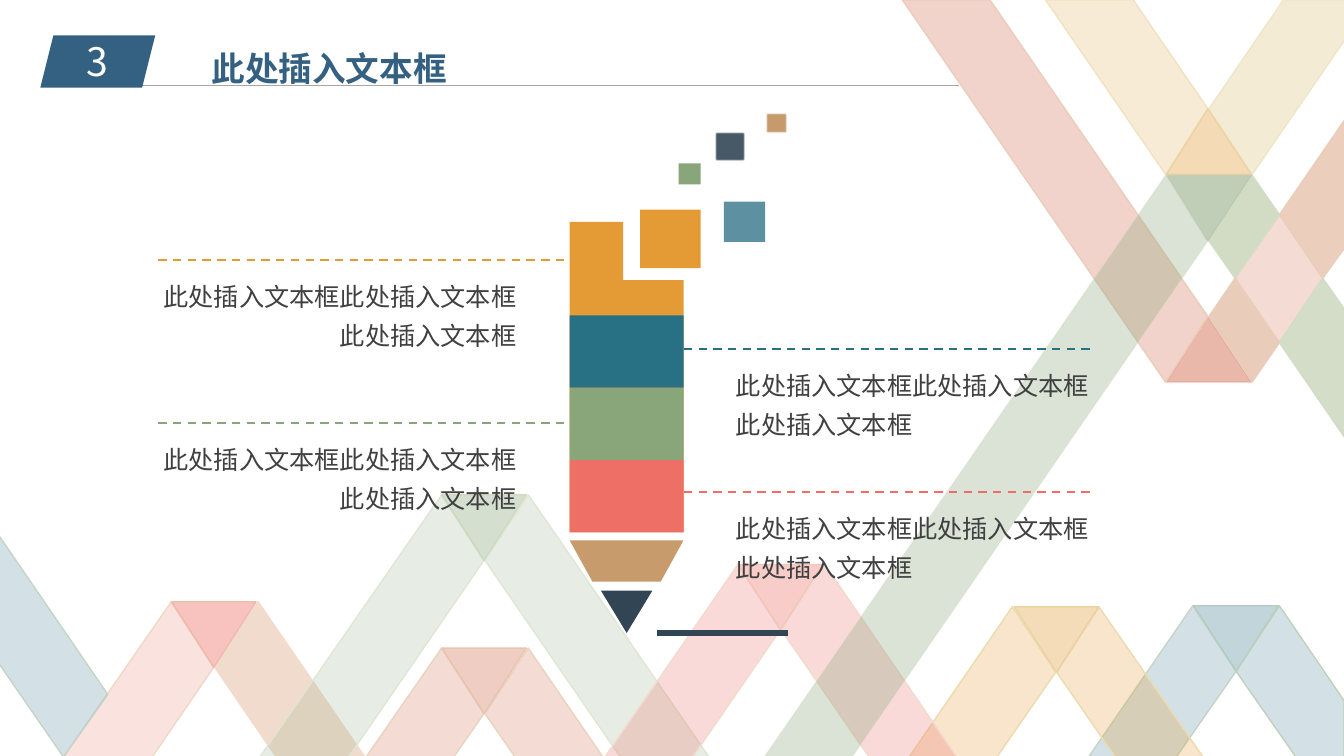
from pptx import Presentation
from pptx.dml.color import RGBColor
from pptx.enum.dml import MSO_LINE
from pptx.enum.shapes import MSO_CONNECTOR, MSO_SHAPE
from pptx.enum.text import MSO_AUTO_SIZE, PP_ALIGN
from pptx.oxml.ns import qn
from pptx.util import Emu, Pt
from lxml.etree import SubElement

CELL = 9144
COLS, ROWS = 1333, 750
FONT = "Noto Sans CJK SC"
PROMPT = "此处插入文本框"
C = {
    "white": "FFFFFF", "text": "404040", "title": "346182", "rule": "A6A6A6",
    "orange": "E49B35", "teal": "287184", "green": "89A67A", "red": "ED6F65",
    "wood": "C79B6C", "lead": "324554", "blue": "508799",
    "rose": "EE8F82", "scarlet": "ED5249", "rust": "D57053", "amber": "E7B05E",
    "moss": "88A378", "sage": "A2B894", "cream": "EFE3C2", "sand": "F1DBCC",
    "peach": "EBCEBC", "clay": "E9CCBA", "mint": "D2DBC4", "leaf": "D3DDC7",
    "rose_edge": "EED9C6", "scarlet_edge": "EFBBAB", "red_edge": "F2C7BA",
    "sage_edge": "E0E6D3", "green_edge": "CFDAC2", "rust_edge": "EAD3BF",
    "rust_fold": "E6C6B1", "blue_edge": "C4D5C6", "blue_fold": "B5CAC1",
    "blue_rim": "BFD1BD", "orange_edge": "EBDCB0", "orange_fold": "EBD3A3",
    "cream_edge": "EEE6C8", "peach_edge": "EACDBA", "brick_edge": "DF9B83",
    "moss_edge": "B3C4A5", "leaf_edge": "D3DCC5",
}
FOLD_HALF, FOLD_DEPTH, SLOPE = 42, 65, 0.69

STRIPS = [
    ("rust", 49, "brick_edge", 49, [(1198, 314), (1241, 379), (1157, 379)]),
    ("amber", 25, "cream", 100, [(1037, 0), (1124, 0), (1198, 108), (1156, 173)]),
    ("cream", 71, "cream_edge", 100,
     [(1273, 0), (1335, 0), (1335, 38), (1242, 173), (1199, 108)]),
    ("rust", 25, "rust_edge", 100, [(1269, 213), (1312, 276), (1269, 340), (1225, 276)]),
    ("peach", 100, "peach_edge", 100, [(1335, 117), (1335, 244), (1312, 276), (1269, 213)]),
    ("mint", 100, "leaf", 100, [(1242, 174), (1269, 213), (1225, 276), (1199, 239)]),
    ("clay", 100, "peach_edge", 100, [(1225, 276), (1269, 340), (1242, 379), (1199, 314)]),
    ("leaf", 100, "leaf_edge", 100, [(1312, 276), (1335, 309), (1335, 436), (1269, 340)]),
    ("orange", 36, "orange_fold", 100, [(1198, 108), (1241, 173), (1157, 173)]),
    ("moss", 53, "moss_edge", 53, [(1198, 239), (1241, 174), (1157, 174)]),
    ("blue", 25, "blue_edge", 100, [(-4, 527), (107, 689), (63, 751), (-4, 654)]),
    ("blue", 25, "blue_rim", 100,
     [(1269, 601), (1333, 695), (1333, 752), (1286, 752), (1226, 666)]),
    ("rust", 30, "peach_edge", 100, [(895, 0), (982, 0), (1198, 314), (1156, 379)]),
    ("moss", 30, "leaf_edge", 30, [(1156, 174), (1198, 239), (843, 754), (756, 754)]),
]
PEAKS = [
    (212.5, 597, 754, ("rose", 25, "rose_edge"), ("sand", 100, "sand"),
     ("scarlet", 35, "scarlet_edge")),
    (480.5, 491, 755, ("sage", 25, "sage_edge"), ("sage", 25, "sage_edge"),
     ("green", 35, "green_edge")),
    (480.5, 643, 754, ("rust", 25, "rust_edge"), ("rust", 25, "rust_edge"),
     ("rust", 35, "rust_fold")),
    (1226, 601, 752, ("blue", 25, "blue_edge"), None, ("blue", 35, "blue_fold")),
    (1047.5, 602, 755, ("orange", 25, "orange_edge"), ("orange", 25, "orange_edge"),
     ("orange", 35, "orange_fold")),
    (774.5, 560, 754, ("red", 25, "sand"), ("red", 25, "sand"), ("red", 35, "red_edge")),
]


def cells(*values):
    """Turn grid cells into lengths."""
    return [Emu(round(v * CELL)) for v in values]


def rgb(name):
    """Look up a named colour."""
    return RGBColor.from_string(C[name])


def set_alpha(parent, percent):
    """Make the solid fill directly under parent translucent."""
    if percent < 100:
        colour = parent.find(qn("a:solidFill"))[0]
        SubElement(colour, qn("a:alpha")).set("val", str(percent * 1000))


def paint(sp, fill, alpha=100, edge=None, edge_alpha=100):
    """Set fill and outline of a shape and drop its shadow."""
    sp.shadow.inherit = False
    sp.fill.solid()
    sp.fill.fore_color.rgb = rgb(fill)
    set_alpha(sp._element.spPr, alpha)
    if edge:
        sp.line.color.rgb = rgb(edge)
        sp.line.width = Pt(1)
        set_alpha(sp._element.spPr.find(qn("a:ln")), edge_alpha)
    else:
        sp.line.fill.background()


def add_polygon(s, points, *look):
    """Draw a closed outline through points given in cells."""
    builder = s.shapes.build_freeform(*points[0], scale=CELL)
    builder.add_line_segments(points[1:], close=True)
    paint(builder.convert_to_shape(), *look)


def add_preset(s, kind, box, fill, alpha=100):
    """Draw a preset shape in a box of cells."""
    sp = s.shapes.add_shape(kind, *cells(*box))
    paint(sp, fill, alpha)
    return sp


def add_rule(s, x1, x2, y, colour, width, dash=None):
    """Draw a horizontal line."""
    line = s.shapes.add_connector(MSO_CONNECTOR.STRAIGHT, *cells(x1, y, x2, y))
    line.line.color.rgb = rgb(colour)
    line.line.width = Pt(width)
    if dash:
        line.line.dash_style = dash
    SubElement(line._element.spPr, qn("a:effectLst"))


def add_text(s, box, lines, size, colour, align=PP_ALIGN.LEFT, spacing=1.0,
             bold=False, wrap=True):
    """Add a text box with one paragraph a line."""
    tf = s.shapes.add_textbox(*cells(*box)).text_frame
    tf.word_wrap = wrap
    tf.auto_size = MSO_AUTO_SIZE.SHAPE_TO_FIT_TEXT
    tf.text = "\n".join(lines)
    for p in tf.paragraphs:
        p.alignment = align
        p.line_spacing = spacing
        font = p.runs[0].font
        font.name, font.size, font.bold = FONT, Pt(size), bold
        font.color.rgb = rgb(colour)
        r_pr = p.runs[0]._r.get_or_add_rPr()
        SubElement(r_pr, qn("a:ea")).set("typeface", FONT)


def add_peak(s, x, top, bottom, left, right, fold):
    """Draw a folded ribbon peak from its centre, top and bottom."""
    tip = top + FOLD_DEPTH
    for side, look in ((-1, left), (1, right)):
        if look:
            outer, inner = FOLD_HALF + 1, 0.5
            leg = [(outer, top), (outer + SLOPE * (bottom - top), bottom),
                   (inner + SLOPE * (bottom - tip), bottom), (inner, tip)]
            add_polygon(s, [(x + side * dx, y) for dx, y in leg], *look)
    add_polygon(s, [(x - FOLD_HALF, top), (x + FOLD_HALF, top), (x, tip)], *fold)


def add_ribbons(s, x, y):
    """Draw the ribbon background from the given corner."""
    for centre, top, bottom, *looks in PEAKS:
        add_peak(s, x + centre, y + top, y + bottom, *looks)
    for fill, alpha, edge, edge_alpha, points in STRIPS:
        moved = [(x + px, y + py) for px, py in points]
        add_polygon(s, moved, fill, alpha, edge, edge_alpha)


def add_header(s, x, y, w):
    """Draw the numbered title bar."""
    add_text(s, (x + 160, y - 12, 256, 64), [PROMPT], 24, "title",
             spacing=1.5, bold=True, wrap=False)
    add_rule(s, x + 47, x + w, y + 50, "rule", 0.5)
    add_preset(s, MSO_SHAPE.PARALLELOGRAM, (x, y, 114, 52), "title")
    add_text(s, (x + 1, y - 3, 112, 57), ["3"], 28, "white", PP_ALIGN.CENTER)


def add_pencil(s, x, y, w):
    """Draw the pencil with its loose squares and drawn stroke."""
    band = 71.7
    tip = add_preset(s, MSO_SHAPE.ISOSCELES_TRIANGLE, (x + 31, y + 474, 51, 42), "lead")
    tip.rotation = 180
    add_preset(s, MSO_SHAPE.FLOWCHART_MANUAL_OPERATION, (x, y + 424, w, 41), "wood")
    top = [(0, 108), (53, 108), (53, 166), (w, 166), (w, 416), (0, 416)]
    add_polygon(s, [(x + px, y + py) for px, py in top], "orange")
    squares = [(70, 96, 60, 58, "orange", 100, 0), (108, 50, 22, 21, "green", 100, 0),
               (194, 0, 22, 21, "wood", 100, 1), (144, 19, 30, 29, "lead", 89, 1),
               (153, 88, 41, 40, "blue", 92, 0)]
    for dx, dy, width, height, fill, alpha, blur in squares:
        sp = add_preset(s, MSO_SHAPE.RECTANGLE, (x + dx, y + dy, width, height), fill, alpha)
        if blur:
            effects = sp._element.spPr.find(qn("a:effectLst"))
            SubElement(effects, qn("a:softEdge")).set("rad", str(Pt(blur)))
    add_rule(s, x + 87, x + 217, y + 516, "lead", 4.5)
    for i, fill in enumerate(("teal", "green", "red")):
        add_preset(s, MSO_SHAPE.RECTANGLE, (x, y + 201 + i * band, w, band), fill)


def add_callout(s, x, y, w, colour, align, text_x):
    """Draw a dashed line with a caption under it."""
    add_rule(s, x, x + w, y, colour, 1.5, MSO_LINE.DASH)
    add_text(s, (text_x, y + 7, 403, 85), [PROMPT * 2, PROMPT], 18, "text", align, 1.3)


def main():
    """Build the slide and save it."""
    prs = Presentation()
    prs.slide_width, prs.slide_height = cells(COLS, ROWS)
    s = prs.slides.add_slide(prs.slide_layouts[6])
    add_ribbons(s, 0, 0)
    add_header(s, 40, 35, 911)
    add_pencil(s, 565, 112, 113)
    for y, colour in ((258, "orange"), (420, "green")):
        add_callout(s, 157, y, 434, colour, PP_ALIGN.RIGHT, 119)
    for y, colour in ((346, "teal"), (488, "red")):
        add_callout(s, 649, y, 434, colour, PP_ALIGN.LEFT, 720)
    prs.save("out.pptx")


if __name__ == "__main__":
    main()
